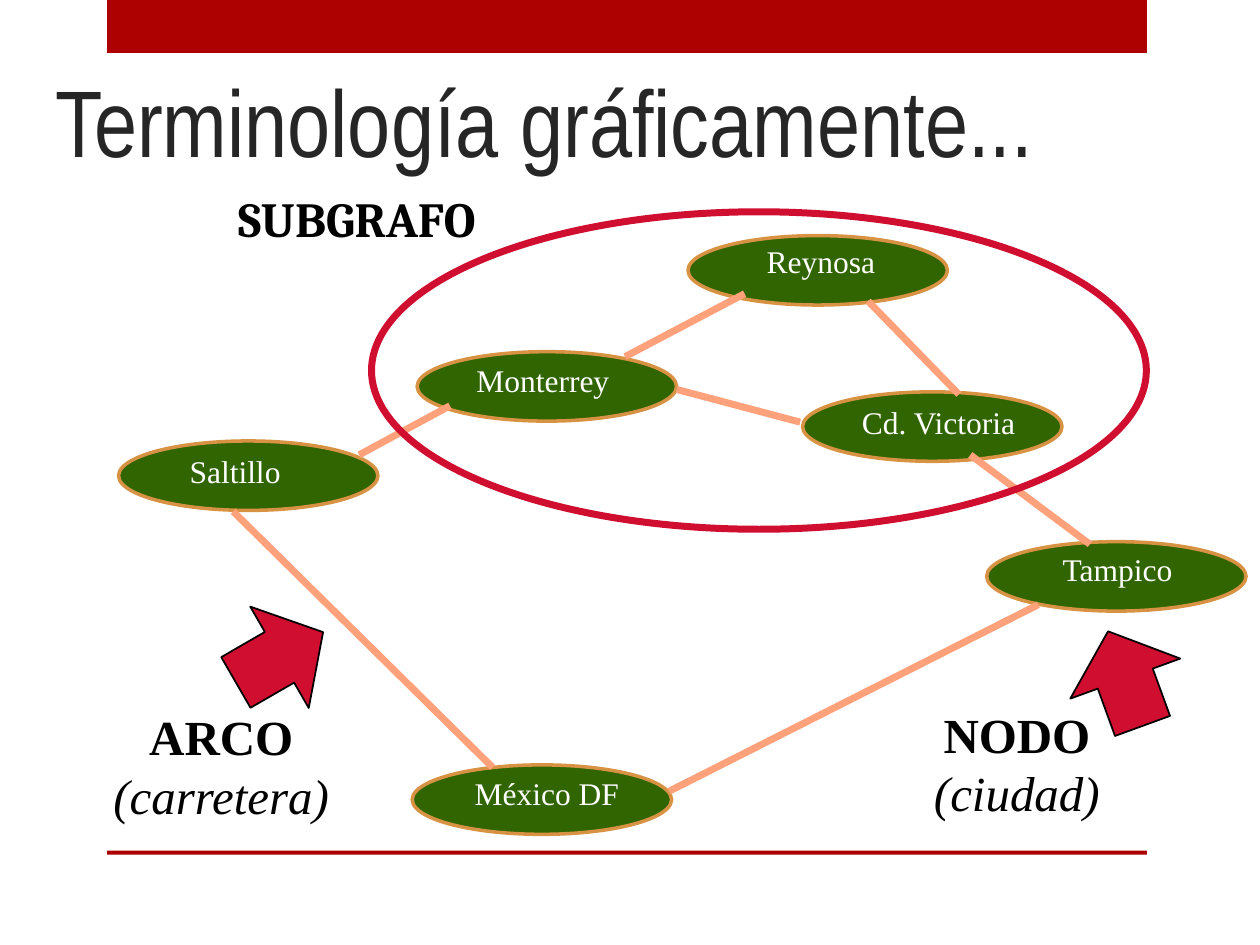
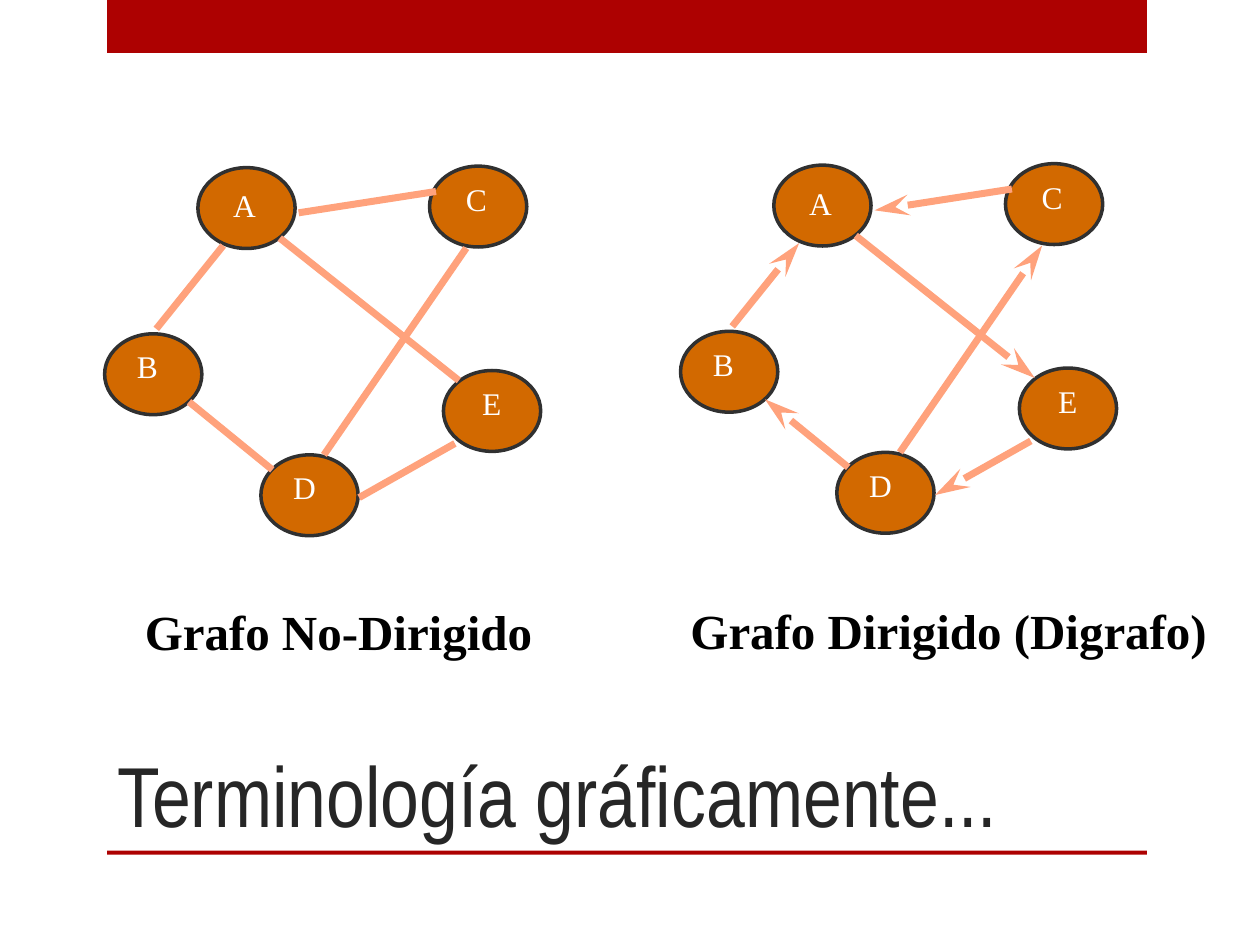
"""Two slides on graph terminology: a road network and two kinds of graph."""
from dataclasses import dataclass

import pptx
import pptx.dml.color
import pptx.enum.shapes
import pptx.enum.text
import pptx.oxml
import pptx.oxml.ns
import pptx.util

Cm = pptx.util.Cm
Pt = pptx.util.Pt
SHAPES = pptx.enum.shapes.MSO_SHAPE
ALIGN = pptx.enum.text.PP_ALIGN
DRAWING_NAMESPACE = pptx.oxml.ns.nsdecls("a")


@dataclass(frozen=True)
class Theme:
    """Colours, fonts and type sizes of the presentation."""
    band: str = "AD0101"
    title: str = "262626"
    text: str = "000000"
    label: str = "FFFFFF"
    city: str = "316501"
    city_line: str = "D89243"
    node: str = "D26900"
    node_line: str = "303030"
    edge: str = "FFA27C"
    accent: str = "CF0E30"
    title_font: str = "Arial Narrow"
    body_font: str = "Times New Roman"
    subgraph_font: str = "Cambria"
    label_size: float = 18
    caption_size: float = 28
    outline_width: float = 2
    edge_width: float = 4


class Deck:
    """Holds the theme and the current slide, and draws elements on it."""

    def __init__(self, theme):
        """Start a 4:3 presentation."""
        self.theme = theme
        self.presentation = pptx.Presentation()
        self.presentation.slide_width = Cm(25.4)
        self.presentation.slide_height = Cm(19.05)
        self.slide = None

    def add_slide(self, title, box, size):
        """Start a title-only slide and format its title."""
        self.slide = self.presentation.slides.add_slide(
            self.presentation.slide_layouts.get_by_name("Title Only"))
        shape = self.slide.shapes.title
        shape.left, shape.top, shape.width, shape.height = map(Cm, box)
        frame = shape.text_frame
        frame.text = title
        frame.word_wrap = True
        frame.auto_size = pptx.enum.text.MSO_AUTO_SIZE.NONE
        frame.vertical_anchor = pptx.enum.text.MSO_ANCHOR.BOTTOM
        frame.paragraphs[0].alignment = ALIGN.LEFT
        self.set_font(frame.paragraphs[0], size, self.theme.title, self.theme.title_font)

    def add_master_bands(self):
        """Draw the top band and bottom rule and move them to the master."""
        tree = self.presentation.slide_master.shapes.element
        for top, height in ((0, 1.07), (17.15, 0.08)):
            band = self.add_shape(SHAPES.RECTANGLE, (2.16, top, 20.96, height), self.theme.band)
            tree.insert(2, band.element)

    def set_font(self, paragraph, size, color, name=None, bold=False, italic=False):
        """Format all the text of a paragraph."""
        font = paragraph.font
        font.name = name or self.theme.body_font
        font.size = Pt(size)
        font.bold = bold
        font.italic = italic
        font.color.rgb = pptx.dml.color.RGBColor.from_string(color)

    def set_line(self, line, color, width):
        """Give an outline or connector its colour and width."""
        line.color.rgb = pptx.dml.color.RGBColor.from_string(color)
        line.width = Pt(width)

    def add_shape(self, kind, box, fill=None, line=None, width=0, rotation=0):
        """Draw a preset shape; without fill or line colour it has none."""
        shape = self.slide.shapes.add_shape(kind, *map(Cm, box))
        shape.shadow.inherit = False
        shape.rotation = rotation
        if fill:
            shape.fill.solid()
            shape.fill.fore_color.rgb = pptx.dml.color.RGBColor.from_string(fill)
        else:
            shape.fill.background()
        if line:
            self.set_line(shape.line, line, width)
        else:
            shape.line.fill.background()
        return shape

    def add_text(self, box, lines, alignment=ALIGN.LEFT):
        """Add an unwrapped text box; each line is a text and its font settings."""
        frame = self.slide.shapes.add_textbox(*map(Cm, box)).text_frame
        frame.word_wrap = False
        frame.auto_size = pptx.enum.text.MSO_AUTO_SIZE.SHAPE_TO_FIT_TEXT
        frame.text = "\n".join(text for text, _ in lines)
        for paragraph, (_, settings) in zip(frame.paragraphs, lines):
            paragraph.alignment = alignment
            self.set_font(paragraph, **settings)

    def add_label(self, text, left, top, width, alignment=ALIGN.LEFT):
        """Add the white name of a city or node."""
        settings = dict(size=self.theme.label_size, color=self.theme.label)
        self.add_text((left, top, width, 1.02), [(text, settings)], alignment)

    def add_caption(self, text, left, top, width, name=None, detail=None):
        """Add a bold caption, with an optional italic second line."""
        base = dict(size=self.theme.caption_size, color=self.theme.text, name=name)
        lines = [(text, dict(base, bold=True))]
        if detail:
            lines.append((detail, dict(base, italic=True)))
        self.add_text((left, top, width, 2.62 if detail else 1.45), lines,
                      ALIGN.CENTER if detail else ALIGN.LEFT)

    def add_edge(self, start_x, start_y, end_x, end_y, directed=False):
        """Connect two points, with an arrowhead at the end if directed."""
        connector = self.slide.shapes.add_connector(
            pptx.enum.shapes.MSO_CONNECTOR.STRAIGHT,
            *map(Cm, (start_x, start_y, end_x, end_y)))
        self.set_line(connector.line, self.theme.edge, self.theme.edge_width)
        properties = connector.element.spPr
        properties.append(pptx.oxml.parse_xml(f"<a:effectLst {DRAWING_NAMESPACE}/>"))
        if directed:
            properties.find(pptx.oxml.ns.qn("a:ln")).append(pptx.oxml.parse_xml(
                f'<a:tailEnd {DRAWING_NAMESPACE} type="stealth" w="med" len="lg"/>'))

    def add_graph(self, shift_x, shift_y, directed):
        """Draw the five-node graph, shifted from its base place."""
        for _, left, top, *_ in NODES:
            self.add_shape(SHAPES.OVAL, (left + shift_x, top + shift_y, 1.96, 1.63),
                           self.theme.node, self.theme.node_line, self.theme.outline_width)
        for start_x, start_y, end_x, end_y in NODE_EDGES:
            self.add_edge(start_x + shift_x, start_y + shift_y,
                          end_x + shift_x, end_y + shift_y, directed)
        for name, _, _, left, top, width in NODES:
            self.add_label(name, left + shift_x, top + shift_y, width)


TITLE = "Terminología gráficamente..."

# Name, left and top of the ellipse, then left, top and width of the label (cm).
CITIES = [
    ("Monterrey", 8.41, 7.09, 9.32, 7.16, 3.25),
    ("Saltillo", 2.39, 8.89, 3.56, 8.99, 2.36),
    ("México DF", 8.31, 15.42, 9.3, 15.47, 3.45),
    ("Reynosa", 13.87, 4.75, 15.19, 4.75, 2.72),
    ("Cd. Victoria", 16.18, 7.9, 17.09, 8, 3.66),
    ("Tampico", 19.89, 10.92, 21.16, 10.97, 2.74),
]
NODES = [
    ("A", 3.99, 3.38, 4.45, 3.63, 0.94),
    ("B", 2.11, 6.73, 2.51, 6.88, 0.94),
    ("D", 5.26, 9.17, 5.66, 9.32, 0.99),
    ("E", 8.94, 7.47, 9.47, 7.62, 0.91),
    ("C", 8.66, 3.35, 9.14, 3.51, 0.94),
]

# Start and end points (cm).
ROADS = [
    (7.24, 9.17, 9.07, 8.18),      # Saltillo - Monterrey
    (13.49, 15.95, 20.93, 12.19),  # México DF - Tampico
    (4.7, 10.31, 9.93, 15.47),     # Saltillo - México DF
    (12.6, 7.19, 15.01, 5.92),     # Monterrey - Reynosa
    (19.33, 7.95, 17.5, 6.07),     # Cd. Victoria - Reynosa
    (21.97, 10.97, 19.56, 9.17),   # Tampico - Cd. Victoria
    (16.13, 8.51, 13.64, 7.85),    # Cd. Victoria - Monterrey
]
NODE_EDGES = [
    (3.15, 6.63, 4.5, 4.95),   # B to A
    (8.79, 3.86, 6.02, 4.29),  # C to A
    (5.64, 4.8, 9.25, 7.67),   # A to E
    (5.49, 9.47, 3.81, 8.1),   # D to B
    (6.53, 9.17, 9.4, 5),      # D to C
    (9.17, 8.94, 7.24, 10.03), # E to D
]


def build_road_slide(deck):
    """Cities as nodes, roads as arcs, and a subgraph."""
    theme = deck.theme
    deck.add_slide(TITLE, (0.86, 0.51, 23.52, 3.18), 54)
    for _, left, top, *_ in CITIES:
        deck.add_shape(SHAPES.OVAL, (left, top, 5.23, 1.4),
                       theme.city, theme.city_line, theme.outline_width)
    for name, _, _, left, top, width in CITIES:
        deck.add_label(name, left, top, width, ALIGN.CENTER)
    for road in ROADS:
        deck.add_edge(*road)
    for left, top, rotation in ((4.62, 12.07, 330), (21.67, 12.5, 250)):
        deck.add_shape(SHAPES.RIGHT_ARROW, (left, top, 2.03, 2.36),
                       theme.accent, theme.text, 1, rotation)
    deck.add_caption("ARCO", 2.01, 14.12, 4.9, detail="(carretera)")
    deck.add_caption("NODO", 18.57, 14.07, 3.86, detail="(ciudad)")
    deck.add_shape(SHAPES.OVAL, (7.49, 4.27, 15.62, 6.4),
                   line=theme.accent, width=theme.edge_width)
    deck.add_caption("SUBGRAFO", 4.55, 3.68, 5.99, name=theme.subgraph_font)


def build_direction_slide(deck):
    """The same graph, undirected and directed."""
    deck.add_slide(TITLE, (2.11, 12.7, 21.41, 4.45), 48.6)
    deck.add_graph(0, 0, directed=False)
    deck.add_graph(11.61, -0.05, directed=True)
    deck.add_caption("Grafo No-Dirigido", 2.67, 12.01, 8.33)
    deck.add_caption("Grafo Dirigido (Digrafo)", 13.67, 11.99, 10.95)


def main():
    """Build and save the presentation."""
    deck = Deck(Theme())
    build_road_slide(deck)
    deck.add_master_bands()
    build_direction_slide(deck)
    deck.presentation.save("out.pptx")


main()
